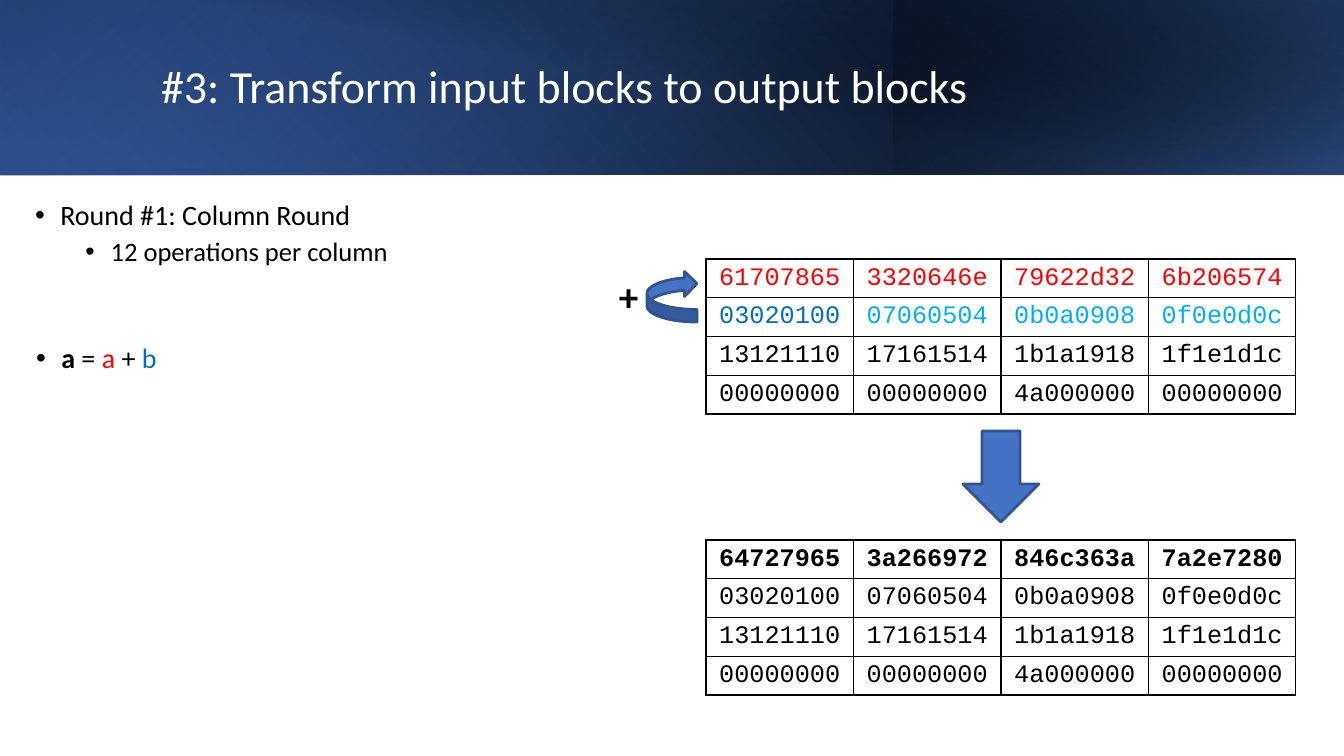
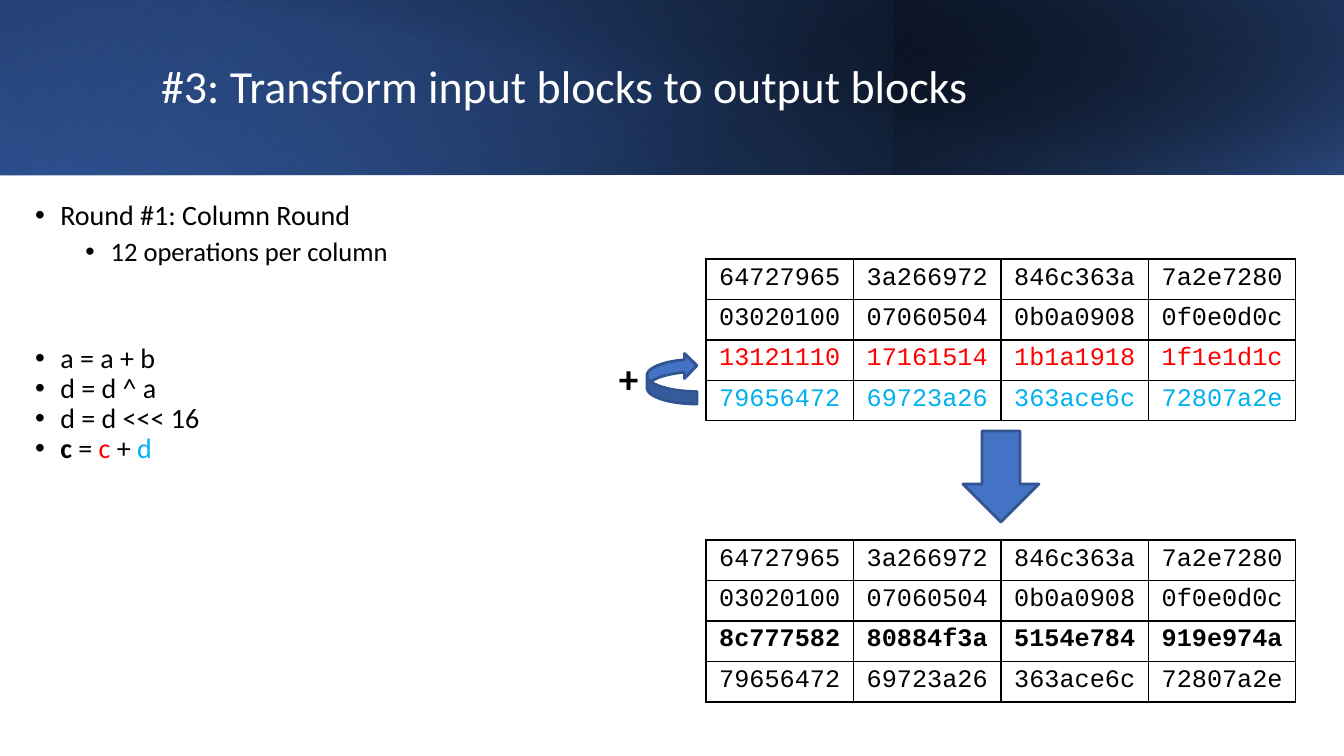
from dataclasses import dataclass

from lxml import etree
from pptx import Presentation
from pptx import util as u
from pptx.dml.color import RGBColor
from pptx.enum import shapes, text
from pptx.oxml import ns


@dataclass(frozen=True)
class Theme:
    black: str = "000000"
    white: str = "FFFFFF"
    red: str = "FF0000"
    blue: str = "0070C0"
    sky: str = "00B0F0"
    accent: str = "4472C4"
    accent_line: str = "325491"
    navy: str = "203864"
    band: str = "2F5597"
    font: str = "Calibri"
    code_font: str = "Courier New"
    title_size: float = 32.8
    body_size: int = 20
    sub_size: int = 19
    code_size: int = 18
    plus_size: int = 28
    border: float = 0.96
    outline: int = 2


THEME = Theme()
SLIDE_WIDTH, SLIDE_HEIGHT = 1344, 756
SCALE = 12192000 / SLIDE_WIDTH


def px(*lengths):
    return [u.Emu(round(length * SCALE)) for length in lengths]


def add_run(paragraph, words, size, colour=THEME.black, bold=False, font=THEME.font):
    run = paragraph.add_run()
    run.text = words
    run.font.size = u.Pt(size)
    run.font.name = font
    run.font.bold = bold
    run.font.color.rgb = RGBColor.from_string(colour)


# Shared header: box, rotation, flip, clockwise angle, stops (position, colour, opacity %)
BANDS = [
    ((0, 0, 1344, 175), 0, True, 40, [(0, THEME.black, 100), (1, THEME.band, 100)]),
    ((0, 0, 894, 175), 180, True, 130, [(0.2, THEME.accent, 0), (1, THEME.navy, 55)]),
    ((894, 0, 450, 175), 0, True, 320, [(0, THEME.accent, 66), (1, THEME.black, 30)]),
    ((50, 0, 1294, 176), 0, False, 280, [(0.5, THEME.black, 0), (1, THEME.navy, 52)]),
]
TITLE = "#3: Transform input blocks to output blocks"
# Bullets: level, space before, size, runs (words, colour, bold)
INTRO = [
    (0, 0, THEME.body_size, [("Round #1: Column Round", THEME.black, False)]),
    (1, 5, THEME.sub_size, [("12 operations per column", THEME.black, False)]),
]

# Content of each step
STEPS = [
    {
        "done": [],
        "sum": ("a", "b", THEME.blue),
        "steps_left": 26,
        "table_height": 155,
        "input": [
            "61707865 3320646e 79622d32 6b206574",
            "03020100 07060504 0b0a0908 0f0e0d0c",
            "13121110 17161514 1b1a1918 1f1e1d1c",
            "00000000 00000000 4a000000 00000000",
        ],
        "changed_row": 0,
        "operand_colours": [THEME.blue] + [THEME.sky] * 3,
        "result": "64727965 3a266972 846c363a 7a2e7280",
    },
    {
        "done": ["a = a + b", "d = d ^ a", "d = d <<< 16"],
        "sum": ("c", "d", THEME.sky),
        "steps_left": 25,
        "table_height": 162,
        "input": [
            "64727965 3a266972 846c363a 7a2e7280",
            "03020100 07060504 0b0a0908 0f0e0d0c",
            "13121110 17161514 1b1a1918 1f1e1d1c",
            "79656472 69723a26 363ace6c 72807a2e",
        ],
        "changed_row": 2,
        "operand_colours": [THEME.sky] * 4,
        "result": "8c777582 80884f3a 5154e784 919e974a",
    },
]

presentation = Presentation()
presentation.slide_width, presentation.slide_height = px(SLIDE_WIDTH, SLIDE_HEIGHT)
two_content = presentation.slide_layouts[3]

for step in STEPS:
    slide = presentation.slides.add_slide(two_content)
    title, intro, operations = slide.placeholders

    # Gradient bands, placed behind the placeholders
    for order, (box, rotation, flipped, angle, stops) in enumerate(BANDS):
        band = slide.shapes.add_shape(shapes.MSO_SHAPE.RECTANGLE, *px(*box))
        band.shadow.inherit = False
        band.line.fill.background()
        band.rotation = rotation
        if flipped:
            band.element.spPr.xfrm.set("flipH", "1")
        band.fill.gradient()
        band.fill.gradient_angle = 360 - angle
        for stop, (position, colour, _) in zip(band.fill.gradient_stops, stops):
            stop.position = position
            stop.color.rgb = RGBColor.from_string(colour)
        colours = band.element.spPr.iter(ns.qn("a:srgbClr"))
        for colour, (_, _, opacity) in zip(list(colours), stops):
            etree.SubElement(colour, ns.qn("a:alpha"), val=str(opacity * 1000))
        slide.shapes.element.insert(2 + order, band.element)

    # Title
    title.left, title.top, title.width, title.height = px(151, 32, 1091, 114)
    title.text_frame.auto_size = text.MSO_AUTO_SIZE.NONE
    title.text_frame.vertical_anchor = text.MSO_ANCHOR.MIDDLE
    paragraph = title.text_frame.paragraphs[0]
    paragraph.alignment = text.PP_ALIGN.LEFT
    paragraph.line_spacing = 0.9
    add_run(paragraph, TITLE, THEME.title_size, THEME.white)

    # Bullet lists
    target, operand, operand_colour = step["sum"]
    lines = [[(words, THEME.black, False)] for words in step["done"]]
    lines.append([
        (target, THEME.black, True),
        (" = ", THEME.black, False),
        (target, THEME.red, False),
        (" + ", THEME.black, False),
        (operand, operand_colour, False),
    ])
    operation_bullets = [(0, 0, THEME.body_size, runs) for runs in lines]
    for body, box, bullets in (
        (intro, (25, 196, 545, 127), INTRO),
        (operations, (step["steps_left"], 339, 545, 403), operation_bullets),
    ):
        body.left, body.top, body.width, body.height = px(*box)
        frame = body.text_frame
        frame.auto_size = text.MSO_AUTO_SIZE.NONE
        for index, (level, space, size, runs) in enumerate(bullets):
            paragraph = frame.add_paragraph() if index else frame.paragraphs[0]
            paragraph.level = level
            paragraph.line_spacing = 0.9
            paragraph.space_before = u.Pt(space)
            properties = paragraph._p.get_or_add_pPr()
            properties.set("marL", str(u.Inches(0.25 + 0.5 * level)))
            properties.set("indent", str(u.Inches(-0.25)))
            bullet_colour = etree.SubElement(properties, ns.qn("a:buClr"))
            etree.SubElement(bullet_colour, ns.qn("a:srgbClr"), val=THEME.black)
            etree.SubElement(properties, ns.qn("a:buFont"), typeface="Arial")
            etree.SubElement(properties, ns.qn("a:buChar"), char="•")
            for words, colour, bold in runs:
                add_run(paragraph, words, size, colour, bold)

    # State before and after the operation
    changed = step["changed_row"]
    output = list(step["input"])
    output[changed] = step["result"]
    input_colours = {changed: [THEME.red] * 4, changed + 1: step["operand_colours"]}
    for top, rows, row_colours, bold_row in (
        (259, step["input"], input_colours, None),
        (540, output, {}, changed),
    ):
        box = px(706, top, 590, step["table_height"])
        table = slide.shapes.add_table(4, 4, *box).table
        table.first_row = table.horz_banding = False
        for row, words in enumerate(rows):
            colours = row_colours.get(row, [THEME.black] * 4)
            for column, (word, colour) in enumerate(zip(words.split(), colours)):
                cell = table.cell(row, column)
                properties = cell._tc.get_or_add_tcPr()
                for side in ("a:lnL", "a:lnR", "a:lnT", "a:lnB"):
                    border = etree.SubElement(
                        properties, ns.qn(side), w=str(u.Pt(THEME.border)))
                    solid = etree.SubElement(border, ns.qn("a:solidFill"))
                    etree.SubElement(solid, ns.qn("a:srgbClr"), val=THEME.black)
                cell.fill.background()
                paragraph = cell.text_frame.paragraphs[0]
                paragraph.alignment = text.PP_ALIGN.CENTER
                add_run(paragraph, word, THEME.code_size, colour,
                        row == bold_row, THEME.code_font)

    # Down arrow between the tables, and loop arrow beside the two rows added
    row_offset = 41 * changed
    for preset, box, rotation in (
        (shapes.MSO_SHAPE.DOWN_ARROW, (963, 431, 76, 91), 0),
        (shapes.MSO_SHAPE.CURVED_LEFT_ARROW, (647, 271 + row_offset, 50, 51), 180),
    ):
        arrow = slide.shapes.add_shape(preset, *px(*box))
        arrow.shadow.inherit = False
        arrow.rotation = rotation
        arrow.fill.solid()
        arrow.fill.fore_color.rgb = RGBColor.from_string(THEME.accent)
        arrow.line.color.rgb = RGBColor.from_string(THEME.accent_line)
        arrow.line.width = u.Pt(THEME.outline)

    # Plus sign
    plus = slide.shapes.add_textbox(*px(609, 267 + row_offset, 48, 57))
    plus.text_frame.word_wrap = True
    plus.text_frame.auto_size = text.MSO_AUTO_SIZE.SHAPE_TO_FIT_TEXT
    add_run(plus.text_frame.paragraphs[0], "+", THEME.plus_size, bold=True)

presentation.save("out.pptx")
